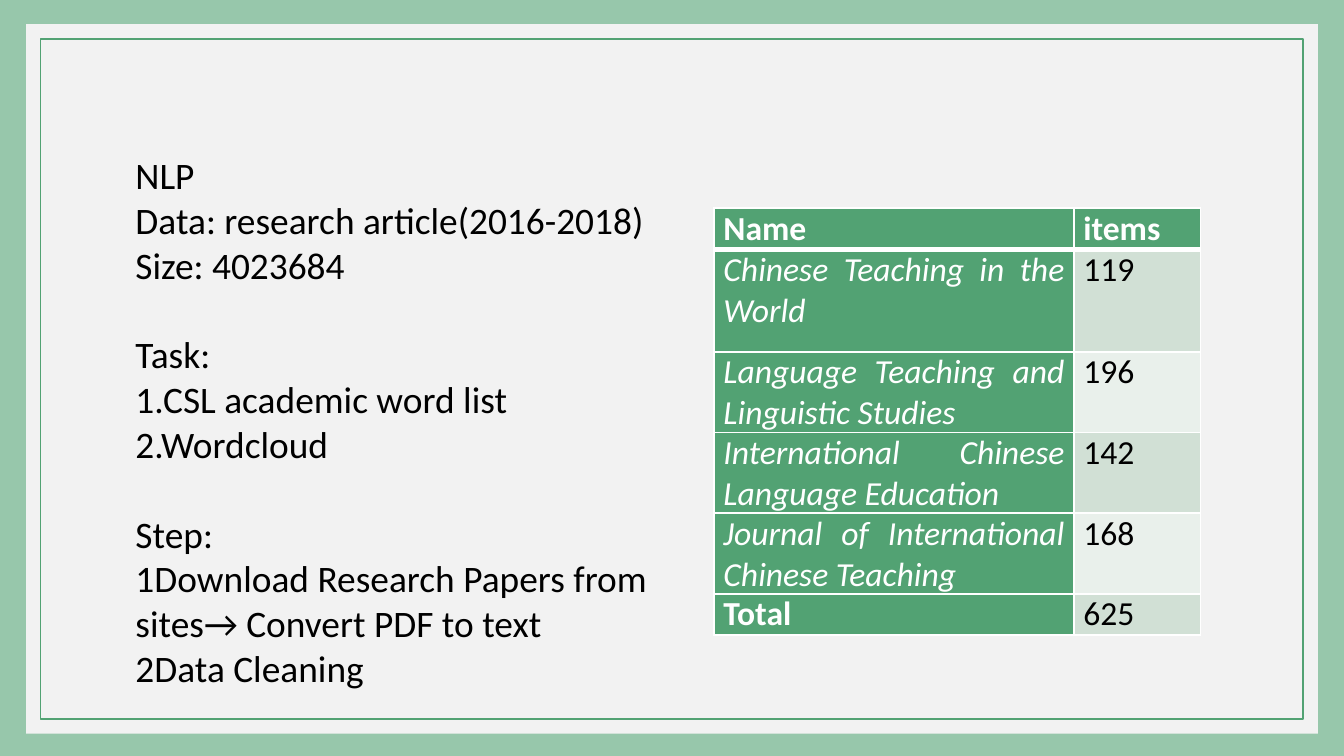
"""Build a slide that pairs project notes with a table of journal article counts."""
from typing import NamedTuple, Optional

from lxml import etree
from pptx import Presentation
from pptx.dml.color import RGBColor
from pptx.enum.shapes import MSO_SHAPE
from pptx.enum.text import PP_ALIGN
from pptx.oxml.ns import qn
from pptx.util import Pt

RECTANGLE = MSO_SHAPE.RECTANGLE
JUSTIFY = PP_ALIGN.JUSTIFY

BLACK = RGBColor(0x00, 0x00, 0x00)
WHITE = RGBColor(0xFF, 0xFF, 0xFF)
GREEN = RGBColor(0x52, 0xA2, 0x73)
PALE_GREEN = RGBColor(0x97, 0xC7, 0xAB)
GREY = RGBColor(0xF2, 0xF2, 0xF2)
BANDS = (RGBColor(0xD1, 0xE0, 0xD5), RGBColor(0xE9, 0xF0, 0xEB))
FONT = "Calibri"
BLOCK_GAP = 24


class Frame(NamedTuple):
    left: float
    top: float
    width: float
    height: float
    fill: Optional[RGBColor] = None
    line: Optional[RGBColor] = None


class Entry(NamedTuple):
    name: str
    items: str
    height: float
    bold: bool = False
    italic: bool = False


FRAMES = (
    Frame(14.1, 13, 692, 380, fill=GREY),
    Frame(21.6, 20.9, 676.5, 364.3, line=GREEN),
)
NOTES = (
    ("NLP", "Data: research article(2016-2018)", "Size: 4023684"),
    ("Task:", "1.CSL academic word list", "2.Wordcloud"),
    ("Step:", "1Download Research Papers from sites→ Convert PDF to text", "2Data Cleaning"),
)
ENTRIES = (
    Entry("Name", "items", 22, bold=True),
    Entry("Chinese Teaching in the World", "119", 55, italic=True),
    Entry("Language Teaching and Linguistic Studies", "196", 43, italic=True),
    Entry("International Chinese Language Education", "142", 43, italic=True),
    Entry("Journal of International Chinese Teaching", "168", 43, italic=True),
    Entry("Total", "625", 22, bold=True),
)
COLUMN_WIDTHS = (192.8, 67.8)


def draw_frame(page, frame: Frame) -> None:
    shape = page.shapes.add_shape(RECTANGLE, *(Pt(length) for length in frame[:4]))
    shape.shadow.inherit = False
    if frame.fill is None:
        shape.fill.background()
    else:
        shape.fill.solid()
        shape.fill.fore_color.rgb = frame.fill
    if frame.line is None:
        shape.line.fill.background()
    else:
        shape.line.color.rgb = frame.line
        shape.line.width = Pt(0.75)


def style_font(para, size: float, color: RGBColor, bold: bool = False, italic: bool = False) -> None:
    font = para.font
    font.name, font.size, font.bold, font.italic = FONT, Pt(size), bold, italic
    font.color.rgb = color


def draw_notes(page) -> None:
    box = page.shapes.add_textbox(Pt(65.5), Pt(78), Pt(309.6), Pt(302))
    frame = box.text_frame
    frame.word_wrap = True
    lines = [(text, block > 0 and row == 0)
             for block, texts in enumerate(NOTES) for row, text in enumerate(texts)]
    for index, (text, starts_block) in enumerate(lines):
        para = frame.add_paragraph() if index else frame.paragraphs[0]
        para.text = text
        if starts_block:
            para.space_before = Pt(BLOCK_GAP)
        style_font(para, 20, BLACK)


def set_border(cell, side: str, width: float) -> None:
    properties = cell._tc.get_or_add_tcPr()
    line = etree.SubElement(properties, qn(f"a:ln{side}"), w=str(Pt(width)))
    fill = etree.SubElement(line, qn("a:solidFill"))
    etree.SubElement(fill, qn("a:srgbClr"), val=str(WHITE))


def fill_cell(cell, text: str, fill: RGBColor, color: RGBColor, bold: bool, italic: bool,
              top: float, bottom: float) -> None:
    for side, width in (("L", 1), ("R", 1), ("T", top), ("B", bottom)):
        set_border(cell, side, width)
    cell.fill.solid()
    cell.fill.fore_color.rgb = fill
    cell.margin_left = cell.margin_right = Pt(5)
    cell.margin_top = cell.margin_bottom = Pt(0)
    para = cell.text_frame.paragraphs[0]
    para.text = text
    para.alignment = JUSTIFY
    style_font(para, 18, color, bold, italic)


def draw_table(page) -> None:
    height = sum(entry.height for entry in ENTRIES)
    table = page.shapes.add_table(len(ENTRIES), len(COLUMN_WIDTHS), Pt(382.6), Pt(111.5),
                                  Pt(sum(COLUMN_WIDTHS)), Pt(height)).table
    table.horz_banding = False
    for column, width in zip(table.columns, COLUMN_WIDTHS):
        column.width = Pt(width)
    for index, entry in enumerate(ENTRIES):
        table.rows[index].height = Pt(entry.height)
        top = 3 if index == 1 else 1
        bottom = 3 if index == 0 else 1
        fill_cell(table.cell(index, 0), entry.name, GREEN, WHITE,
                  entry.bold, entry.italic, top, bottom)
        header = index == 0
        fill_cell(table.cell(index, 1), entry.items,
                  GREEN if header else BANDS[(index - 1) % 2],
                  WHITE if header else BLACK, header, False, top, bottom)


def main() -> None:
    deck = Presentation()
    deck.slide_width, deck.slide_height = Pt(720), Pt(405)
    page = deck.slides.add_slide(deck.slide_layouts[6])
    page.background.fill.solid()
    page.background.fill.fore_color.rgb = PALE_GREEN
    for frame in FRAMES:
        draw_frame(page, frame)
    draw_notes(page)
    draw_table(page)
    deck.save("out.pptx")


if __name__ == "__main__":
    main()
